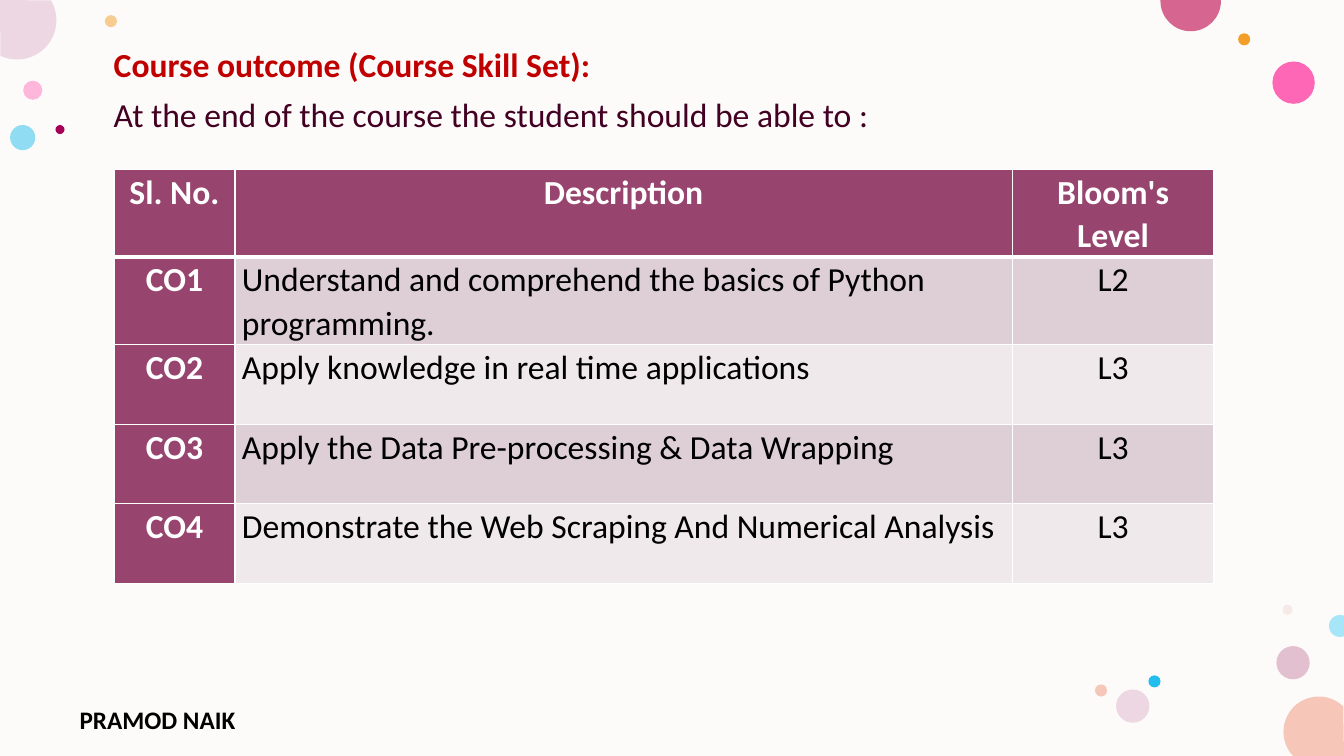
from dataclasses import dataclass
from itertools import pairwise
from math import cos, radians, sin, tan

from lxml.etree import SubElement
from pptx import Presentation
from pptx.dml.color import RGBColor
from pptx.enum.shapes import MSO_SHAPE
from pptx.enum.text import PP_ALIGN
from pptx.oxml.ns import qn
from pptx.util import Pt

PX = 9144
SLIDE_W, SLIDE_H = 1333, 750


@dataclass(frozen=True)
class Theme:
    """Colours, font and type sizes of the deck."""
    font: str = "Calibri"
    body_size: int = 24
    footer_size: int = 18
    paper: str = "FDFBF9"
    title: str = "C00000"
    intro: str = "420023"
    ink: str = "000000"
    white: str = "FFFFFF"
    header: str = "97446E"
    bands: tuple = ("DDCFD5", "EFE9EB")


T = Theme()

DOTS = [
    (23, 80, 19, "FF75BD", 50),
    (104, 15, 12, "F39E29", 50),
    (1266, 641, 33, "C987A8", 50),
    (10, 124, 25, "24BEEE", 50),
    (1262, 61, 42, "FF2F9C", 72),
    (1228, 33, 12, "F39E29", 100),
    (1272, 600, 10, "E3BEBE", 28),
    (1139, 670, 12, "24BEEE", 100),
    (1107, 684, 33, "EDD7E2", 100),
    (1086, 679, 12, "F6C7B9", 100),
    (55, 124, 9, "A40056", 100),
]
EDGE_DOTS = [
    (1308, 726, 35, (-46, -90, -180, -223), [(1333, 750)], "F6C7B9"),
    (17, 20, 39, (-30, 0, 90, 115), [(0, 0)], "EDD7E2"),
    (1181, 1, 30, (0, 90, 180), [(1151, 0), (1211, 0)], "D6658F"),
    (1329, 621, 11, (70, 90, 180, 270, 290), [], "A7E5F8"),
]
COLUMNS = [120, 771, 200]
ROWS = [87, 87, 79, 79, 79]
OUTCOMES = [
    ("Sl. No.", "Description", "Bloom's Level"),
    ("CO1", "Understand and comprehend the basics of Python programming.", "L2"),
    ("CO2", "Apply knowledge in real time applications", "L3"),
    ("CO3", "Apply the Data Pre-processing & Data Wrapping", "L3"),
    ("CO4", "Demonstrate the Web Scraping And Numerical Analysis", "L3"),
]


def emu(*lengths):
    """Turn px lengths into EMU."""
    return [round(n * PX) for n in lengths]


def set_all(obj, formats):
    """Set each attribute of obj from a dict."""
    for name, value in formats.items():
        setattr(obj, name, value)


def write(p, text, size, color, bold, **formats):
    """Put one formatted run in a paragraph."""
    set_all(p, formats)
    r = p.add_run()
    r.text = text
    set_all(r.font, {"name": T.font, "size": Pt(size), "bold": bold})
    r.font.color.rgb = RGBColor.from_string(color)


def paint(sp, color, alpha=100):
    """Give a shape a plain fill without line or shadow."""
    sp.shadow.inherit = False
    sp.line.fill.background()
    sp.fill.solid()
    sp.fill.fore_color.rgb = RGBColor.from_string(color)
    if alpha < 100:
        rgb = sp._element.spPr.find(qn("a:solidFill")).find(qn("a:srgbClr"))
        SubElement(rgb, qn("a:alpha"), val=str(alpha * 1000))


def on_circle(cx, cy, radius, degrees, handle=0):
    """Return a point on a circle, moved along its tangent by handle."""
    c, d = cos(radians(degrees)), sin(radians(degrees))
    return emu(cx + radius * (c - handle * d), cy + radius * (d + handle * c))


def edge_dot(s, cx, cy, radius, stops, corners, color):
    """Draw a circle cut off by the slide's edges with Bézier arcs."""
    circle = (cx, cy, radius)
    points = []
    for a, b in pairwise(stops):
        handle = 4 / 3 * tan(radians(b - a) / 4)
        points += [on_circle(*circle, a, handle),
                   on_circle(*circle, b, -handle), on_circle(*circle, b)]
    outline = s.shapes.build_freeform(*on_circle(*circle, stops[0]))
    outline.add_line_segments(points + [emu(*c) for c in corners], close=True)
    sp = outline.convert_to_shape()
    lines = list(sp._element.iter(qn("a:lnTo")))
    for i in range(0, len(points), 3):
        curve = lines[i]
        curve.tag = qn("a:cubicBezTo")
        for line in lines[i + 1:i + 3]:
            curve.append(line[0])
            line.getparent().remove(line)
    paint(sp, color)


def decoration(s, box):
    """Lay the paper and scatter the dots."""
    paint(s.shapes.add_shape(MSO_SHAPE.RECTANGLE, *emu(*box)), T.paper)
    for x, y, size, color, alpha in DOTS:
        sp = s.shapes.add_shape(MSO_SHAPE.OVAL, *emu(x, y, size, size))
        paint(sp, color, alpha)
    for dot in EDGE_DOTS:
        edge_dot(s, *dot)


def text_box(s, box):
    """Add a wrapping text box and return its frame."""
    tf = s.shapes.add_textbox(*emu(*box)).text_frame
    tf.word_wrap = True
    return tf


def heading(s, box):
    """Write the title and the introducing line."""
    tf = text_box(s, box)
    spacing = {"line_spacing": 0.9, "space_before": Pt(10)}
    write(tf.paragraphs[0], "Course outcome (Course Skill Set):",
          T.body_size, T.title, True, **spacing)
    write(tf.add_paragraph(),
          "At the end of the course the student should be able to :",
          T.body_size, T.intro, False, **spacing)


def footer(s, box):
    """Write the presenter's name."""
    write(text_box(s, box).paragraphs[0], "PRAMOD NAIK",
          T.footer_size, T.ink, True)


def borders(cell, bottom, top):
    """Draw white cell borders with widths in points."""
    tc_pr = cell._tc.get_or_add_tcPr()
    for side, width in {"L": 1, "R": 1, "T": top, "B": bottom}.items():
        ln = SubElement(tc_pr, qn("a:ln" + side), w=str(Pt(width)))
        SubElement(SubElement(ln, qn("a:solidFill")),
                   qn("a:srgbClr"), val=T.white)


def outcome_table(s, box):
    """Lay out the course outcomes in a banded table."""
    table = s.shapes.add_table(len(ROWS), len(COLUMNS), *emu(*box)).table
    for column, width in zip(table.columns, COLUMNS):
        column.width = emu(width)[0]
    for row, height in zip(table.rows, ROWS):
        row.height = emu(height)[0]
    side = emu(7)[0]
    margins = {"margin_left": side, "margin_right": side,
               "margin_top": 0, "margin_bottom": 0}
    for i, row in enumerate(OUTCOMES):
        for j, text in enumerate(row):
            cell = table.cell(i, j)
            head = i == 0 or j == 0
            borders(cell, 3 if i == 0 else 1, 3 if i == 1 else 1)
            set_all(cell, margins)
            cell.fill.solid()
            cell.fill.fore_color.rgb = RGBColor.from_string(
                T.header if head else T.bands[(i - 1) % 2])
            centred = head or j == 2
            write(cell.text_frame.paragraphs[0], text, T.body_size,
                  T.white if head else T.ink, head,
                  alignment=PP_ALIGN.CENTER if centred else PP_ALIGN.LEFT,
                  line_spacing=1.07, space_after=Pt(8))


def main():
    """Build the slide and save it."""
    prs = Presentation()
    prs.slide_width, prs.slide_height = emu(SLIDE_W, SLIDE_H)
    s = prs.slides.add_slide(prs.slide_layouts[6])
    decoration(s, (0, 0, SLIDE_W, SLIDE_H))
    footer(s, (69, 694, 245, 32))
    heading(s, (103, 43, 1200, 649))
    outcome_table(s, (113, 168, sum(COLUMNS), sum(ROWS)))
    prs.save("out.pptx")


if __name__ == "__main__":
    main()
